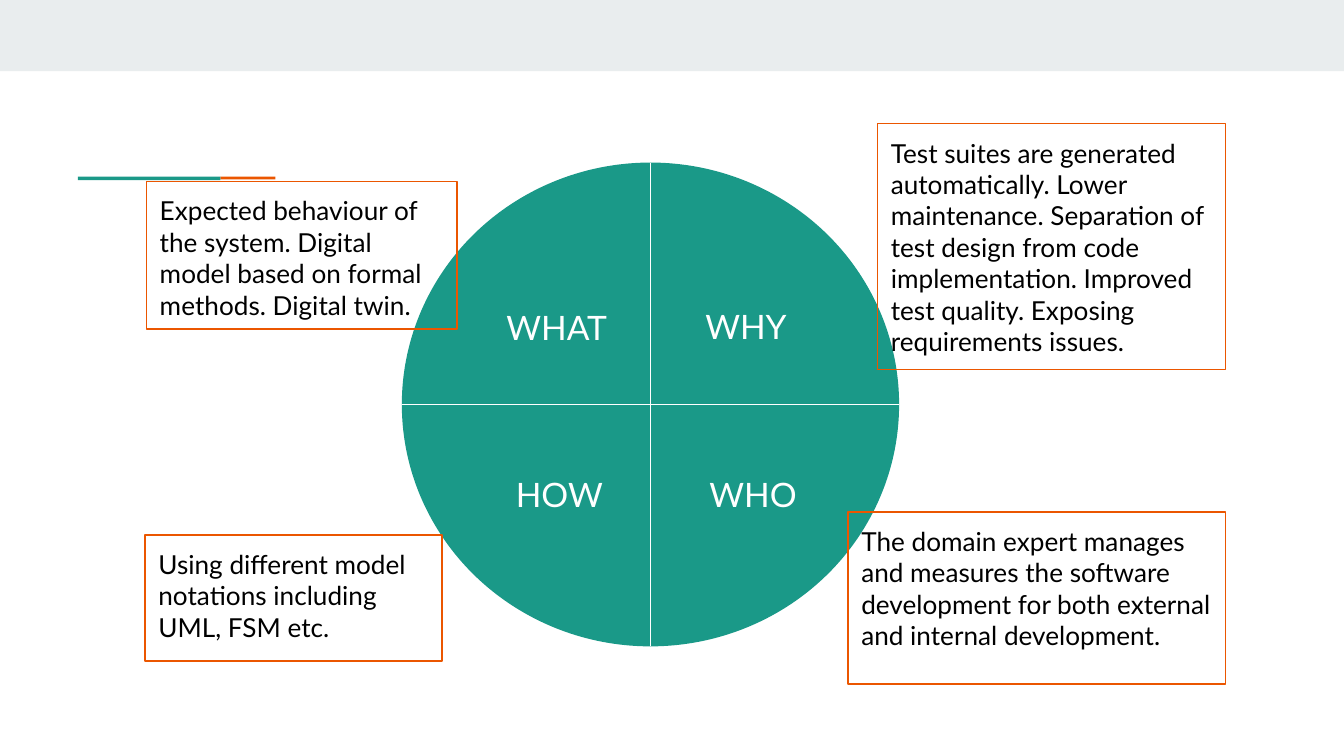
from lxml import etree
from pptx import Presentation
from pptx.dml.color import RGBColor
from pptx.enum.shapes import MSO_CONNECTOR, MSO_SHAPE
from pptx.enum.text import MSO_ANCHOR, PP_ALIGN
from pptx.oxml.ns import qn
from pptx.util import Inches, Pt

RECTANGLE = MSO_SHAPE.RECTANGLE
OVAL = MSO_SHAPE.OVAL
STRAIGHT = MSO_CONNECTOR.STRAIGHT
TOP = MSO_ANCHOR.TOP
LEFT = PP_ALIGN.LEFT

TEAL = RGBColor(0x1A, 0x99, 0x88)
ORANGE = RGBColor(0xEB, 0x56, 0x00)
BAND = RGBColor(0xE9, 0xED, 0xEE)
WHITE = RGBColor(0xFF, 0xFF, 0xFF)
BLACK = RGBColor(0x00, 0x00, 0x00)

FONT = "Lato"
COLUMNS = 100
WIDTH = Inches(10)
HEIGHT = WIDTH * 9 // 16
UNIT = WIDTH // COLUMNS

CIRCLE = (29.9, 12.1, 37, 36)

LABELS = [
    ("WHAT", (36.7, 21.8, 10.7, 7.5)),
    ("WHY", (51.5, 21.8, 10.7, 3.4)),
    ("HOW", (37.4, 34.3, 10, 5.7)),
    ("WHO", (51.8, 34.3, 10, 3.4)),
]

NOTES = [
    ("Expected behaviour of the system. Digital model based on formal methods. "
     "Digital twin.", (10.9, 13.5, 23.1, 11)),
    ("Using different model notations including UML, FSM etc.",
     (10.8, 39.8, 22.1, 9.4)),
    ("Test suites are generated automatically. Lower maintenance. Separation of "
     "test design from code implementation. Improved test quality. Exposing "
     "requirements issues.", (65.3, 9.2, 25.9, 18.3)),
    ("The domain expert manages and measures the software development for both "
     "external and internal development.", (63.1, 38.1, 28.1, 12.8)),
]


def grid(values):
    return [round(value * UNIT) for value in values]


def add_figure(slide, kind, area, fill=None, line=None):
    shape = slide.shapes.add_shape(kind, *grid(area))
    shape.shadow.inherit = False
    if fill is None:
        shape.fill.background()
    else:
        shape.fill.solid()
        shape.fill.fore_color.rgb = fill
    if line is None:
        shape.line.fill.background()
    else:
        shape.line.color.rgb = line
        shape.line.width = Pt(0.75)
    return shape


def add_divider(slide, start, end):
    connector = slide.shapes.add_connector(STRAIGHT, *grid(start + end))
    connector.line.color.rgb = WHITE
    connector.line.width = Pt(0.75)
    etree.SubElement(connector._element.spPr, qn("a:effectLst"))


def write(shape, text, *, size, color):
    frame = shape.text_frame
    frame.word_wrap = True
    frame.vertical_anchor = TOP
    frame.margin_left = frame.margin_right = UNIT
    frame.margin_top = frame.margin_bottom = UNIT
    para = frame.paragraphs[0]
    para.alignment = LEFT
    span = para.add_run()
    span.text = text
    span.font.name = FONT
    span.font.size = Pt(size)
    span.font.color.rgb = color


def add_quartered_circle(slide):
    left, top, width, height = CIRCLE
    middle_x, middle_y = left + width / 2, top + height / 2
    add_figure(slide, OVAL, CIRCLE, fill=TEAL)
    add_divider(slide, (middle_x, top), (middle_x, top + height))
    add_divider(slide, (left, middle_y), (left + width, middle_y))


def add_label(slide, text, area):
    box = slide.shapes.add_textbox(*grid(area))
    write(box, text, size=18, color=WHITE)


def add_note(slide, text, area):
    box = add_figure(slide, RECTANGLE, area, line=ORANGE)
    write(box, text, size=14, color=BLACK)


def main():
    deck = Presentation()
    deck.slide_width, deck.slide_height = WIDTH, HEIGHT
    slide = deck.slides.add_slide(deck.slide_layouts[6])

    add_figure(slide, RECTANGLE, (0, 0, COLUMNS, 5.3), fill=BAND)
    add_figure(slide, RECTANGLE, (16.4, 13.15, 4.1, 0.2), fill=ORANGE)
    add_figure(slide, RECTANGLE, (5.8, 13.15, 10.6, 0.25), fill=TEAL)

    add_quartered_circle(slide)
    for text, area in LABELS:
        add_label(slide, text, area)
    for text, area in NOTES:
        add_note(slide, text, area)

    deck.save("out.pptx")


if __name__ == "__main__":
    main()
